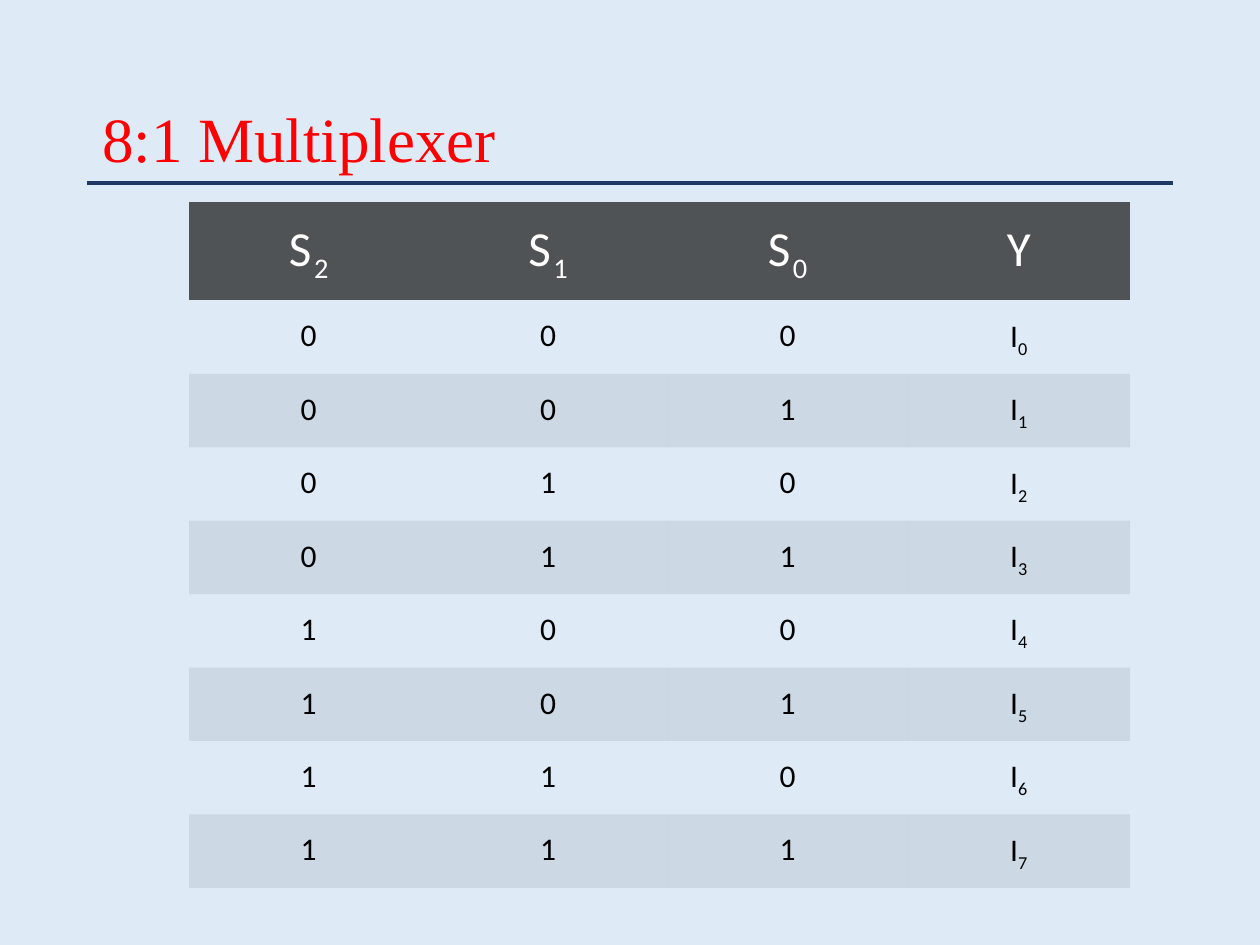
from dataclasses import dataclass

from lxml import etree
from pptx import Presentation
from pptx import util as u
from pptx.dml.color import RGBColor
from pptx.enum import shapes, text
from pptx.oxml.ns import qn


@dataclass(frozen=True)
class Theme:
    background: str = "DEEBF7"
    title: str = "FF0000"
    rule: str = "203864"
    header: str = "505356"
    header_text: str = "FFFFFF"
    body_text: str = "000000"
    band: str = "000000"
    band_alpha: int = 8
    title_font: str = "Times New Roman"
    table_font: str = "Calibri"
    title_size: int = 36
    header_size: int = 28
    body_size: int = 18


PLAIN_TABLE = "{2D5ABB26-0587-4C30-8999-92F81FD0307C}"


class SlideBuilder:
    def __init__(self, prs, theme):
        self.theme = theme
        self.s = prs.slides.add_slide(prs.slide_layouts[5])
        fill = self.s.background.fill
        fill.solid()
        fill.fore_color.rgb = RGBColor.from_string(theme.background)

    def style(self, r, font, size, color):
        r.font.name = font
        r.font.size = u.Pt(size)
        r.font.color.rgb = RGBColor.from_string(color)

    def title(self, wording, left, top, width, height):
        sp = self.s.shapes.title
        sp.left, sp.top = u.Inches(left), u.Inches(top)
        sp.width, sp.height = u.Inches(width), u.Inches(height)
        tf = sp.text_frame
        tf.text = wording
        tf.word_wrap = True
        tf.auto_size = text.MSO_AUTO_SIZE.NONE
        tf.vertical_anchor = text.MSO_ANCHOR.BOTTOM
        tf.margin_left = tf.margin_right = u.Inches(0.07)
        tf.margin_top, tf.margin_bottom = u.Inches(0.04), 0
        p = tf.paragraphs[0]
        p.alignment = text.PP_ALIGN.LEFT
        p.line_spacing = 0.9
        t = self.theme
        self.style(p.runs[0], t.title_font, t.title_size, t.title)

    def rule(self, left, right, y):
        line = self.s.shapes.add_connector(
            shapes.MSO_CONNECTOR.STRAIGHT,
            u.Inches(left), u.Inches(y), u.Inches(right), u.Inches(y))
        line.line.color.rgb = RGBColor.from_string(self.theme.rule)
        line.line.width = u.Pt(2.25)
        etree.SubElement(line._element.spPr, qn("a:effectLst"))

    def cell(self, cell, label, is_header, is_band):
        t = self.theme
        # Header and alternate rows are filled; the others stay clear
        if is_header or is_band:
            cell.fill.solid()
            color = t.header if is_header else t.band
            cell.fill.fore_color.rgb = RGBColor.from_string(color)
        else:
            cell.fill.background()
        if is_band:
            clr = cell._tc.tcPr.find(".//" + qn("a:srgbClr"))
            etree.SubElement(clr, qn("a:alpha"), val=str(t.band_alpha * 1000))
        cell.margin_left = cell.margin_right = u.Inches(0.11)
        cell.margin_top = cell.margin_bottom = u.Inches(0.11)

        # The first character is the symbol, the rest its subscript
        p = cell.text_frame.paragraphs[0]
        p.text = label[0]
        p.alignment = text.PP_ALIGN.CENTER
        p.line_spacing = 1.07
        p.space_after = u.Pt(8)
        if label[1:]:
            r = p.add_run()
            r.text = label[1:]
            r.font._element.set("baseline", "-25000")
        for r in p.runs:
            if is_header:
                self.style(r, t.table_font, t.header_size, t.header_text)
                r.font._element.set("spc", "150")
            else:
                self.style(r, t.table_font, t.body_size, t.body_text)

    def table(self, rows, left, top, widths, header_height, row_height, height):
        frame = self.s.shapes.add_table(
            len(rows), len(widths), u.Inches(left), u.Inches(top),
            u.Inches(sum(widths)), u.Inches(height))
        table = frame.table
        table.horz_banding = False
        table._tbl.tblPr.find(qn("a:tableStyleId")).text = PLAIN_TABLE
        for column, width in zip(table.columns, widths):
            column.width = u.Inches(width)
        for i, labels in enumerate(rows):
            table.rows[i].height = u.Inches(row_height if i else header_height)
            for j, label in enumerate(labels):
                self.cell(table.cell(i, j), label, i == 0, i > 0 and i % 2 == 0)
        frame.height = u.Inches(height)


def main():
    prs = Presentation()
    prs.slide_width, prs.slide_height = u.Inches(10), u.Inches(7.5)
    slide = SlideBuilder(prs, Theme())

    # Heading
    slide.rule(0.69, 9.31, 1.45)
    slide.title("8:1 Multiplexer", 0.74, 0.45, 3.43, 0.95)

    # Truth table: select lines count in binary and pick one input
    rows = [["S2", "S1", "S0", "Y"]]
    rows += [[*f"{n:03b}", f"I{n}"] for n in range(8)]
    slide.table(rows, 1.5, 1.6, [1.9, 1.9, 1.9, 1.77], 0.46, 0.42, 4.96)

    prs.save("out.pptx")


if __name__ == "__main__":
    main()
